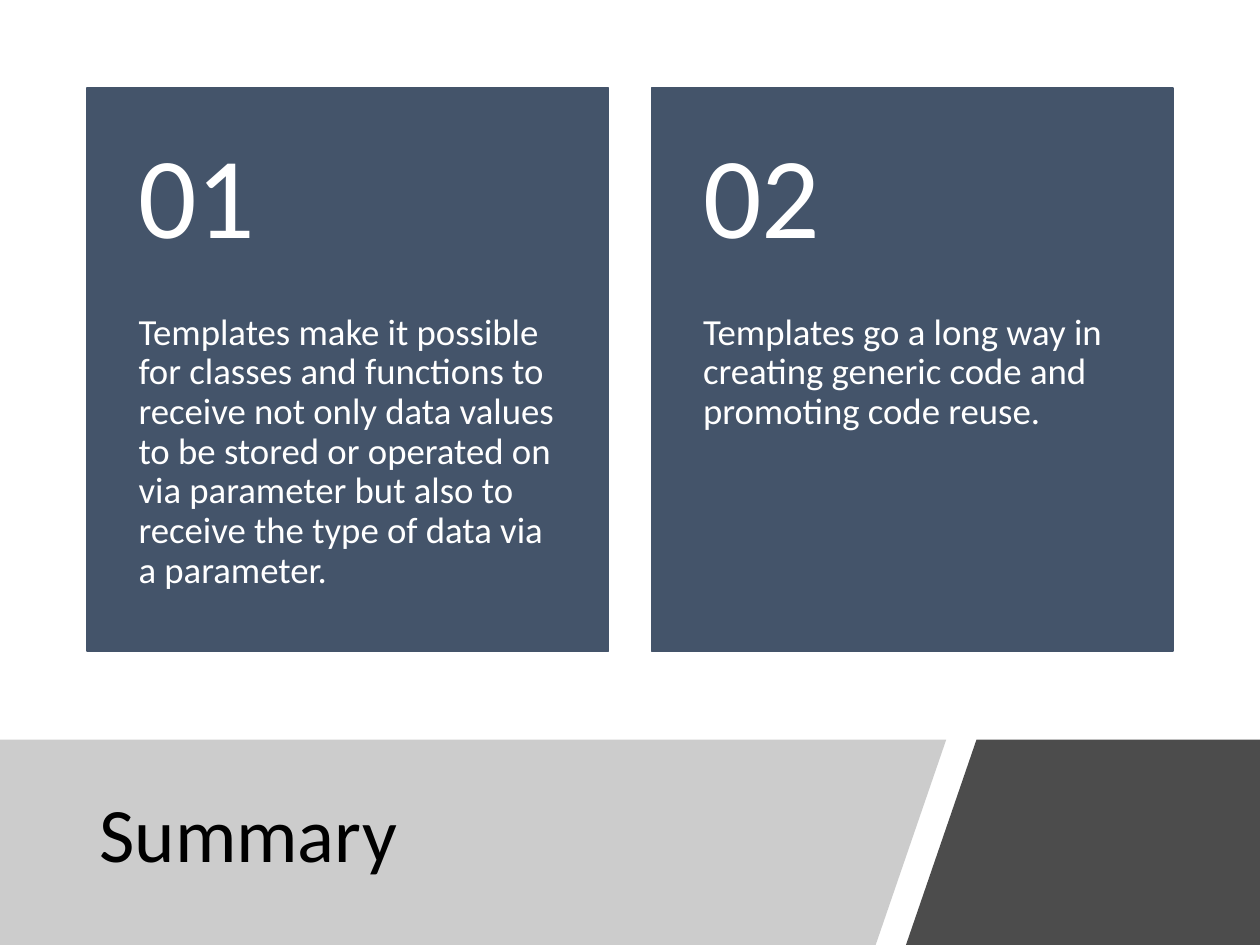
from dataclasses import dataclass

from pptx import Presentation
from pptx import util as u
from pptx.dml.color import RGBColor
from pptx.enum import shapes, text
from pptx.oxml import ns, xmlchemy


@dataclass(frozen=True)
class Theme:
    font: str = "Calibri"
    card: str = "44546A"
    light: str = "FFFFFF"
    dark: str = "000000"
    grey: str = "808080"
    title_size: int = 44
    number_size: int = 66
    body_size: int = 21


theme = Theme()
presentation = Presentation()
presentation.slide_width = u.Inches(10)
presentation.slide_height = u.Inches(7.5)
slide = presentation.slides.add_slide(presentation.slide_layouts[6])

column = presentation.slide_width / 100
row = presentation.slide_height / 100


def grid_box(left, top, width, height):
    return [round(left * column), round(top * row), round(width * column), round(height * row)]


def add_text(box, words, size, color, anchor, insets, space_after=0):
    frame = slide.shapes.add_textbox(*grid_box(*box)).text_frame
    left, top, right, bottom = insets
    frame_format = {
        "word_wrap": True,
        "auto_size": text.MSO_AUTO_SIZE.NONE,
        "vertical_anchor": anchor,
        "margin_left": round(left * column),
        "margin_top": round(top * row),
        "margin_right": round(right * column),
        "margin_bottom": round(bottom * row),
    }
    paragraph = frame.paragraphs[0]
    paragraph_format = {
        "alignment": text.PP_ALIGN.LEFT,
        "line_spacing": 0.9,
        "space_after": u.Pt(space_after),
    }
    run = paragraph.add_run()
    run.text = words
    run.font.color.rgb = RGBColor.from_string(color)
    run_format = {"name": theme.font, "size": u.Pt(size)}
    for target, values in ((frame, frame_format), (paragraph, paragraph_format), (run.font, run_format)):
        for name, value in values.items():
            setattr(target, name, value)


band_top = 78.27
bands = [
    ([(0, band_top), (75.1, band_top), (69.5, 100), (0, 100)], theme.grey, 40),
    ([(77.5, band_top), (100, band_top), (100, 100), (71.9, 100)], theme.dark, 70),
]
for corners, color, opacity in bands:
    points = [(round(x * column), round(y * row)) for x, y in corners]
    builder = slide.shapes.build_freeform(*points[0])
    builder.add_line_segments(points[1:], close=True)
    band = builder.convert_to_shape()
    band.shadow.inherit = False
    band.fill.solid()
    band.fill.fore_color.rgb = RGBColor.from_string(color)
    band.line.fill.background()
    fill_color = next(band.element.spPr.iter(ns.qn("a:srgbClr")))
    alpha = xmlchemy.OxmlElement("a:alpha")
    alpha.set("val", str(opacity * 1000))
    fill_color.append(alpha)

margin = 6.9
add_text((margin, 80.67, 63.3, 16), "Summary", theme.title_size, theme.dark,
         text.MSO_ANCHOR.MIDDLE, (1, 0.67, 1, 0.67))

card_top, card_width, card_height = 9.33, 41.4, 59.6
number_height = card_height * 0.4
gap = 100 - 2 * (margin + card_width)
messages = [
    "Templates make it possible for classes and functions to receive not only data values "
    "to be stored or operated on via parameter but also to receive the type of data via a parameter.",
    "Templates go a long way in creating generic code and promoting code reuse.",
]
for index, message in enumerate(messages):
    left = margin + index * (card_width + gap)
    card = slide.shapes.add_shape(shapes.MSO_SHAPE.RECTANGLE,
                                  *grid_box(left, card_top, card_width, card_height))
    card.shadow.inherit = False
    card.fill.solid()
    card.fill.fore_color.rgb = RGBColor.from_string(theme.card)
    card.line.color.rgb = RGBColor.from_string(theme.card)
    card.line.width = u.Pt(1)
    add_text((left, card_top + number_height, card_width, card_height - number_height), message,
             theme.body_size, theme.light, text.MSO_ANCHOR.TOP, (4.1, 0, 4.1, 4.8),
             theme.body_size * 0.35)
    add_text((left, card_top, card_width, number_height), f"{index + 1:02}",
             theme.number_size, theme.light, text.MSO_ANCHOR.MIDDLE, (4.1, 2.4, 4.1, 2.4),
             theme.number_size * 0.35)

presentation.save("out.pptx")
